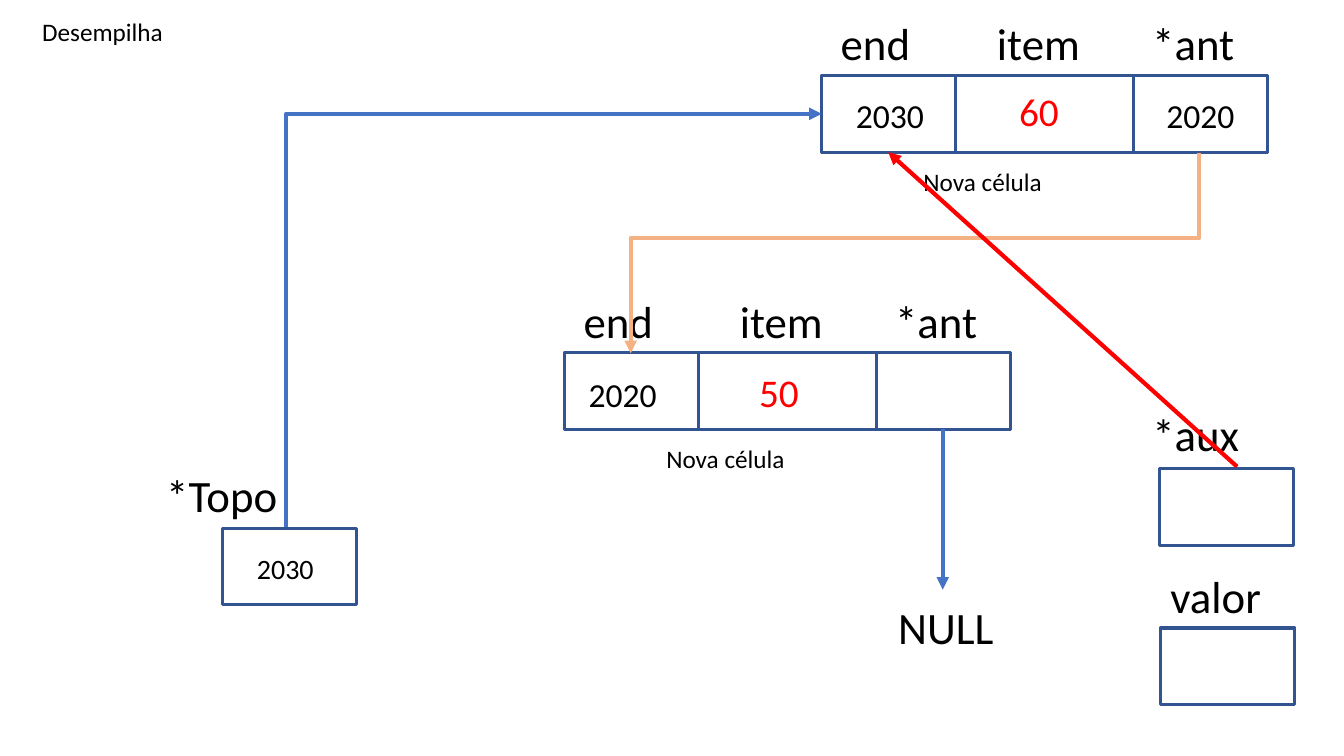
from lxml import etree
from pptx import Presentation
from pptx import util as u
from pptx.dml.color import RGBColor
from pptx.enum import shapes, text
from pptx.oxml import ns

BLACK = RGBColor(0x00, 0x00, 0x00)
RED = RGBColor(0xFF, 0x00, 0x00)
NAVY = RGBColor(0x32, 0x54, 0x91)
BLUE = RGBColor(0x44, 0x72, 0xC4)
ORANGE = RGBColor(0xF4, 0xB1, 0x83)

# Content: stack cells as (left, top)
CELLS = [(8.15, 0.75), (5.6, 3.5)]
CELL_W, CELL_H, BOX_W = 4.42, 0.76, 1.33
HEADINGS = [("end", 0.09), ("item", 1.64), ("*ant", 3.18)]

# Variables: label, label left, label top, box left, box top
VARIABLES = [
    ("*Topo", 1.55, 4.59, 2.21, 5.24),
    ("*aux", 11.33, 3.99, 11.5, 4.65),
    ("valor", 11.51, 5.59, 11.51, 6.23),
]

# Free text: wording, left, top, width, size, colour
TEXTS = [
    ("Desempilha", 0.32, 0.11, 1.64, 18, BLACK),
    ("2030", 8.39, 0.89, 0.93, 24, BLACK),
    ("60", 10.01, 0.82, 1.14, 28, RED),
    ("2020", 11.47, 0.89, 0.98, 24, BLACK),
    ("2020", 5.74, 3.66, 0.93, 24, BLACK),
    ("50", 7.43, 3.6, 0.72, 28, RED),
    ("2030", 2.45, 5.42, 0.97, 20, BLACK),
    ("NULL", 8.81, 5.9, 1.33, 32, BLACK),
]

# Arrows: kind, start, end, colour, bend (share of the way), quarter turns
ELBOW, STRAIGHT = shapes.MSO_CONNECTOR.ELBOW, shapes.MSO_CONNECTOR.STRAIGHT
ARROWS = [
    (ELBOW, (8.08, -0.31), (10.07, 5.33), ORANGE, 0.424, 1),
    (STRAIGHT, (9.35, 4.26), (9.35, 5.85), BLUE, None, 0),
    (ELBOW, (2.84, 5.23), (8.15, 1.13), BLUE, 0, 0),
    (STRAIGHT, (12.27, 4.63), (8.81, 1.51), RED, None, 0),
]


def add_text(parent, wording, left, top, width, size=32, color=BLACK):
    height = size / 60 + 0.1
    s = parent.add_textbox(*map(u.Inches, (left, top, width, height)))
    tf = s.text_frame
    tf.word_wrap = True
    tf.auto_size = text.MSO_AUTO_SIZE.SHAPE_TO_FIT_TEXT
    r = tf.paragraphs[0].add_run()
    r.text = wording
    for name, value in {"name": "Calibri", "size": u.Pt(size)}.items():
        setattr(r.font, name, value)
    r.font.color.rgb = color


def add_box(parent, left, top, width=BOX_W):
    s = parent.add_shape(shapes.MSO_SHAPE.RECTANGLE,
                         *map(u.Inches, (left, top, width, CELL_H)))
    s.shadow.inherit = False
    s.fill.background()
    s.line.color.rgb = NAVY
    s.line.width = u.Pt(2.25)


def add_arrow(parent, kind, start, end, color, bend, turns):
    s = parent.add_connector(kind, *map(u.Inches, start + end))
    s.line.color.rgb = color
    s.line.width = u.Pt(3)
    sp = s._element.spPr
    etree.SubElement(s.line._get_or_add_ln(), ns.qn("a:tailEnd"), type="triangle")
    etree.SubElement(sp, ns.qn("a:effectLst"))
    if turns:
        sp.find(ns.qn("a:xfrm")).set("rot", str(turns * 5400000))
    if bend is not None:
        geom = sp.find(ns.qn("a:prstGeom"))
        av = geom.find(ns.qn("a:avLst"))
        if av is None:
            av = etree.SubElement(geom, ns.qn("a:avLst"))
        etree.SubElement(av, ns.qn("a:gd"), name="adj1",
                         fmla=f"val {round(bend * 100000)}")


def main():
    prs = Presentation()
    prs.slide_width, prs.slide_height = u.Inches(13.33), u.Inches(7.5)
    slide = prs.slides.add_slide(prs.slide_layouts[6])

    # Stack cells: outer box, first and last field, headings, caption
    for left, top in CELLS:
        group = slide.shapes.add_group_shape().shapes
        add_box(group, left, top, CELL_W)
        for field_left in (left, left + CELL_W - BOX_W):
            add_box(group, field_left, top)
        for heading, offset in HEADINGS:
            add_text(group, heading, left + offset, top - 0.64, 1.14)
        add_text(group, "Nova célula", left + 0.91, top + 0.85, 1.88, 18)

    # Variables
    for label, label_left, label_top, left, top in VARIABLES:
        group = slide.shapes.add_group_shape().shapes
        add_text(group, label, label_left, label_top, 1.88)
        add_box(group, left, top)

    # Values and arrows
    for item in TEXTS:
        add_text(slide.shapes, *item)
    for arrow in ARROWS:
        add_arrow(slide.shapes, *arrow)

    prs.save("out.pptx")


if __name__ == "__main__":
    main()
